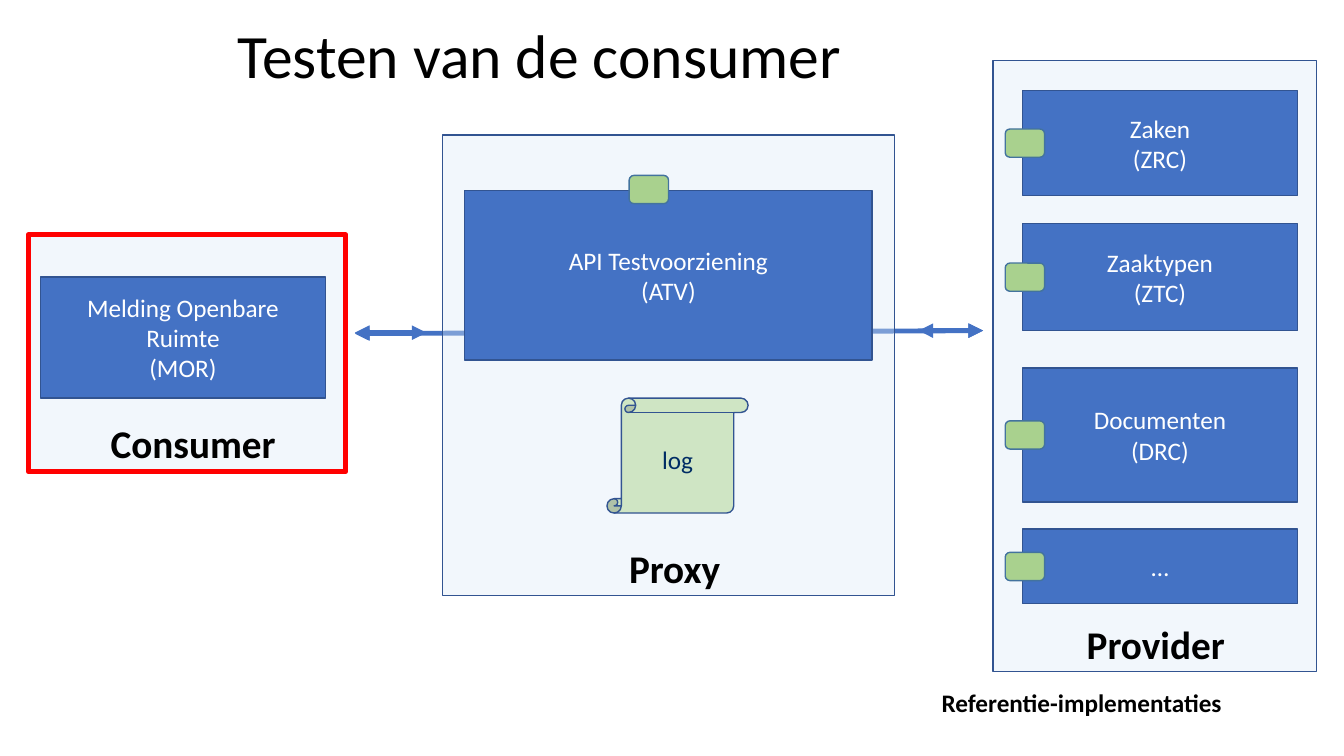
from dataclasses import dataclass

from pptx import Presentation
from pptx.dml.color import RGBColor
from pptx.enum.shapes import MSO_CONNECTOR, MSO_SHAPE
from pptx.enum.text import MSO_ANCHOR, MSO_AUTO_SIZE, PP_ALIGN
from pptx.oxml.ns import qn
from pptx.util import Inches, Pt
from lxml import etree

RECT = MSO_SHAPE.RECTANGLE
ROUND = MSO_SHAPE.ROUNDED_RECTANGLE
SCROLL = MSO_SHAPE.VERTICAL_SCROLL
STRAIGHT = MSO_CONNECTOR.STRAIGHT
MIDDLE = MSO_ANCHOR.MIDDLE
CENTER = PP_ALIGN.CENTER
FIT = MSO_AUTO_SIZE.SHAPE_TO_FIT_TEXT


@dataclass(frozen=True)
class Theme:
    font: str = "Calibri"
    title: int = 44
    head: int = 28
    body: int = 18
    black: str = "000000"
    white: str = "FFFFFF"
    navy: str = "002C64"
    blue: str = "4472C4"
    edge: str = "325491"
    pale: str = "DEEBF7"
    green: str = "A9D18E"
    rim: str = "43739E"
    paper: str = "C5E0B4"
    red: str = "FF0000"


THEME = Theme()
BADGE_W, BADGE_H = 0.39, 0.28
SERVICES = [
    ("Zaken\n(ZRC)", 0.9, 1.04),
    ("Zaaktypen\n(ZTC)", 2.22, 1.06),
    ("Documenten\n(DRC)", 3.65, 1.33),
    ("…", 5.25, 0.74),
]
ARROWS = [
    (3.52, 3.31, 9.75, 3.28),
    (3.52, 3.3, 4.23, 3.3),
    (9.11, 3.28, 9.75, 3.28),
]


def rgb(code):
    return RGBColor.from_string(code)


def write(frame, paras, size, color, bold=False, align=None):
    """Fill a frame with paragraphs; a newline inside one is a line break."""
    for i, text in enumerate(paras):
        para = frame.paragraphs[0] if i == 0 else frame.add_paragraph()
        para.alignment = align
        for j, line in enumerate(text.split("\n")):
            if j:
                para.add_line_break()
            run = para.add_run()
            run.text = line
            font = run.font
            font.name, font.size, font.bold = THEME.font, Pt(size), bold
            font.color.rgb = rgb(color)


def add_box(slide, kind, area, fill, edge=THEME.edge, width=1, alpha=None):
    """Add a filled preset shape; alpha is its opacity in percent."""
    box = slide.shapes.add_shape(kind, *map(Inches, area))
    box.shadow.inherit = False
    box.fill.solid()
    box.fill.fore_color.rgb = rgb(fill)
    if alpha is not None:
        tint = box.fill._xPr.find(qn("a:solidFill"))[0]
        etree.SubElement(tint, qn("a:alpha"), val=str(alpha * 1000))
    box.line.color.rgb = rgb(edge)
    box.line.width = Pt(width)
    return box


def add_zone(slide, area, edge=THEME.edge, width=1):
    add_box(slide, RECT, area, THEME.pale, edge, width, alpha=37)


def fill_box(box, paras, color=THEME.white):
    frame = box.text_frame
    frame.word_wrap = True
    frame.vertical_anchor = MIDDLE
    write(frame, paras, THEME.body, color, align=CENTER)


def add_block(slide, area, *paras):
    fill_box(add_box(slide, RECT, area, THEME.blue), paras)


def add_badge(slide, left, top):
    add_box(slide, ROUND, (left, top, BADGE_W, BADGE_H), THEME.green, THEME.rim)


def add_label(slide, area, text, size):
    box = slide.shapes.add_textbox(*map(Inches, area))
    frame = box.text_frame
    frame.word_wrap = False
    frame.auto_size = FIT
    write(frame, [text], size, THEME.black, bold=True)


def add_title(slide, text):
    box = slide.shapes.add_textbox(*map(Inches, (2.26, 0.19, 7.41, 0.79)))
    frame = box.text_frame
    frame.word_wrap = True
    frame.vertical_anchor = MIDDLE
    write(frame, [text], THEME.title, THEME.black)
    frame.paragraphs[0].line_spacing = 0.9


def add_arrow(slide, ends):
    """Add a line with an arrowhead at both ends."""
    link = slide.shapes.add_connector(STRAIGHT, *map(Inches, ends))
    link.line.color.rgb = rgb(THEME.blue)
    link.line.width = Pt(3.5)
    line = link.line._get_or_add_ln()
    for tag in ("a:headEnd", "a:tailEnd"):
        etree.SubElement(line, qn(tag), type="triangle")
    etree.SubElement(link._element.spPr, qn("a:effectLst"))


def add_consumer(slide):
    add_zone(slide, (0.28, 2.33, 3.15, 2.35), THEME.red, 3.5)
    add_block(slide, (0.4, 2.75, 2.83, 1.2), "Melding Openbare Ruimte", "(MOR)")
    add_label(slide, (1, 4.11, 1.86, 0.57), "Consumer", THEME.head)


def add_provider(slide):
    add_zone(slide, (9.85, 0.6, 3.21, 6.06))
    for text, top, height in SERVICES:
        add_block(slide, (10.14, top, 2.73, height), text)
        add_badge(slide, 9.97, top + (height - BADGE_H) / 2)
    add_label(slide, (10.68, 6.1, 1.59, 0.57), "Provider", THEME.head)
    add_label(slide, (9.24, 6.77, 3.95, 0.5), "Referentie-implementaties", THEME.body)


def add_proxy(slide):
    add_zone(slide, (4.39, 1.34, 4.48, 4.57))
    log = add_box(slide, SCROLL, (6.02, 3.95, 1.4, 1.14), THEME.paper, alpha=77)
    fill_box(log, ["log"], THEME.navy)
    add_block(slide, (4.61, 1.89, 4.04, 1.68), "API Testvoorziening", "(ATV)")
    add_label(slide, (6.14, 5.35, 1.11, 0.57), "Proxy", THEME.head)
    add_badge(slide, 6.24, 1.74)


def main():
    deck = Presentation()
    deck.slide_width, deck.slide_height = Inches(13.33), Inches(7.5)
    slide = deck.slides.add_slide(deck.slide_layouts[6])
    add_title(slide, "Testen van de consumer")
    add_consumer(slide)
    add_provider(slide)
    for ends in ARROWS:
        add_arrow(slide, ends)
    add_proxy(slide)
    deck.save("out.pptx")


if __name__ == "__main__":
    main()
